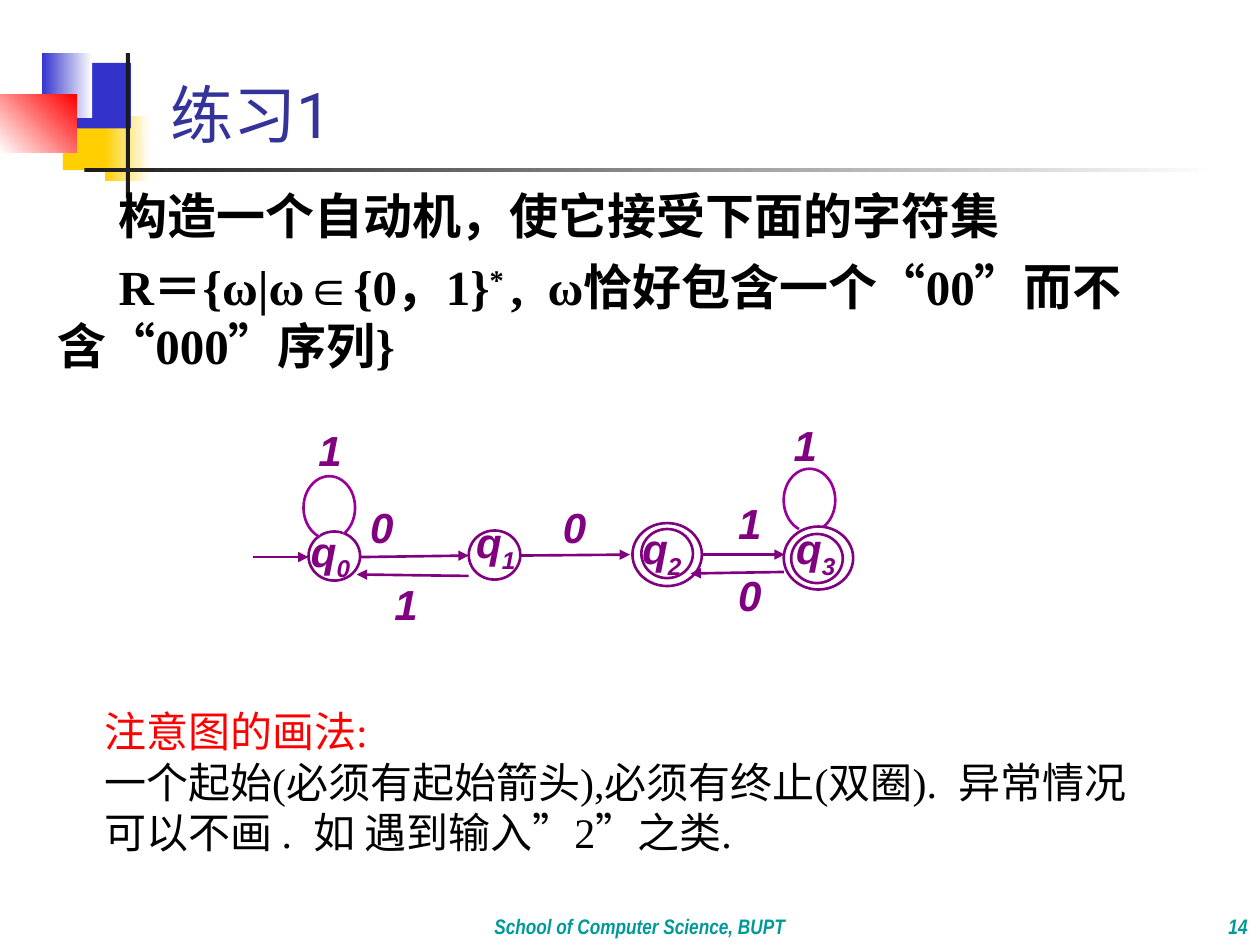
from lxml.etree import SubElement
from pptx import Presentation
from pptx.dml.color import RGBColor
from pptx.enum.shapes import MSO_CONNECTOR, MSO_SHAPE
from pptx.enum.text import MSO_ANCHOR, PP_ALIGN
from pptx.oxml.ns import qn
from pptx.util import Cm, Pt

WHITE = RGBColor(0xFF, 0xFF, 0xFF)
BLACK = RGBColor(0, 0, 0)
INK = RGBColor(0x1C, 0x1C, 0x1C)
GOLD = RGBColor(0xFF, 0xCF, 0x01)
BLUE = RGBColor(0x33, 0x33, 0xCC)
NAVY = RGBColor(0x33, 0x33, 0x99)
RED = RGBColor(0xFF, 0, 0)
TEAL = RGBColor(0, 0x99, 0x99)
PURPLE = RGBColor(0x80, 0, 0x80)
VIOLET = RGBColor(0x99, 0, 0x99)

# Lengths in cm. Decor: left, top, width, height, colours, gradient angle
DECOR = [
    (1.27, 2.11, 1.22, 1.32, [GOLD], 0),
    (2.11, 2.34, 0.91, 1.32, [GOLD, WHITE], 0),
    (1.47, 1.27, 1.17, 1.32, [BLUE], 0),
    (0.84, 1.07, 1.02, 1.32, [BLUE, WHITE], 0),
    (0, 1.91, 1.55, 1.17, [WHITE, RED], 45),
    (2.54, 1.07, 0.08, 2.92, [INK], 0),
    (1.7, 3.38, 22.86, 0.08, [INK, WHITE], 0),
]

# Each paragraph is a list of (text, baseline in percent)
TITLE = [[("练习1", 0)]]
TASK = [
    [("构造一个自动机，使它接受下面的字符集", 0)],
    [("R＝{ω|ω∈{0，1}", 0), ("* ", 30),
     (",  ω恰好包含一个“00”而不含“000”序列}", 0)],
]
NOTE = [
    [("注意图的画法:", 0)],
    [("一个起始(必须有起始箭头),必须有终止(双圈).  "
      "异常情况可以不画 .  如 遇到输入”2”之类.", 0)],
]
SCHOOL = [[("School of Computer Science, BUPT", 0)]]
PAGE = [[("14", 0)]]

# State: centre of circle, top left of name, centre of outer ring if final
STATES = [
    ((6.74, 11.21), (6.02, 10.46), None),
    ((9.97, 11.19), (9.35, 10.29), None),
    ((13.45, 11.16), (12.7, 10.41), (13.45, 11.18)),
    ((16.47, 11.26), (15.8, 10.41), (16.5, 11.25)),
]
LOOPS = [(6.12, 9.6), (15.8, 9.45)]
ARROWS = [
    (5.11, 11.23, 6.22, 11.23),
    (7.26, 11.23, 9.45, 11.2),
    (9.45, 11.61, 7.19, 11.58),
    (10.49, 11.2, 12.7, 11.18),
    (14.15, 11.18, 15.82, 11.18),
    (15.8, 11.53, 13.92, 11.56),
]
MARKS = [
    ("1", 6.17, 8.43), ("0", 7.21, 9.98), ("1", 7.7, 11.53),
    ("0", 11.1, 9.98), ("1", 14.63, 9.91), ("0", 14.63, 11.35),
    ("1", 15.75, 8.33),
]
DISC = (1.04, 0.99)
RING = (1.4, 1.27)
LOOP = (1.04, 1.27)

deck = Presentation()
deck.slide_width, deck.slide_height = Cm(25.4), Cm(19.05)
slide = deck.slides.add_slide(deck.slide_layouts[6])
shapes = slide.shapes


def add_text(box, paras, font, size, color, bold=False, italic=False,
             anchor=MSO_ANCHOR.TOP, align=PP_ALIGN.LEFT):
    frame = shapes.add_textbox(*map(Cm, box)).text_frame
    frame.word_wrap = True
    frame.vertical_anchor = anchor
    for i, parts in enumerate(paras):
        para = frame.add_paragraph() if i else frame.paragraphs[0]
        para.alignment = align
        for text, base in parts:
            run = para.add_run()
            run.text = text
            face = run.font
            face.name, face.size = font, Pt(size)
            face.bold, face.italic = bold, italic
            face.color.rgb = color
            if base:
                face._element.set("baseline", str(base * 1000))
    return frame


def add_form(kind, box, color=None):
    """Add a white shape, outlined if a colour is given."""
    form = shapes.add_shape(kind, *map(Cm, box))
    form.shadow.inherit = False
    form.fill.solid()
    form.fill.fore_color.rgb = WHITE
    if color is None:
        form.line.fill.background()
    else:
        form.line.color.rgb = color
        form.line.width = Pt(1.5)
    return form


def add_disc(mid, size):
    (x, y), (w, h) = mid, size
    add_form(MSO_SHAPE.OVAL, (x - w / 2, y - h / 2, w, h), PURPLE)


def add_arrow(ends):
    link = shapes.add_connector(MSO_CONNECTOR.STRAIGHT, *map(Cm, ends))
    link.line.color.rgb = PURPLE
    link.line.width = Pt(1.5)
    SubElement(link.line._get_or_add_ln(), qn("a:tailEnd"), type="triangle")
    SubElement(link._element.spPr, qn("a:effectLst"))


for *box, colors, angle in DECOR:
    fill = add_form(MSO_SHAPE.RECTANGLE, box).fill
    if len(colors) == 1:
        fill.fore_color.rgb = colors[0]
    else:
        fill.gradient()
        fill.gradient_angle = angle
        for stop, color in zip(fill.gradient_stops, colors):
            stop.color.rgb = color

add_text((3.18, 0.84, 21.64, 2.34), TITLE, "Roboto", 36, NAVY,
         anchor=MSO_ANCHOR.BOTTOM)
task = add_text((0.91, 3.61, 23.7, 5.51), TASK, "Times New Roman", 28, BLACK,
                bold=True)
for para in task.paragraphs:
    para._p.get_or_add_pPr().set("indent", str(Cm(1.23)))
task.paragraphs[1].space_before = Pt(7)

for mid, _, ring in STATES:
    if ring:
        add_disc(ring, RING)
    add_disc(mid, DISC)
for spot in LOOPS:
    arc = add_form(MSO_SHAPE.ARC, spot + LOOP, VIOLET)
    for i, degree in enumerate((110, 61)):
        arc.adjustments[i] = degree * 0.6
for ends in ARROWS:
    add_arrow(ends)
for i, (_, spot, _) in enumerate(STATES):
    add_text(spot + (1.5, 1.42), [[("q", 0), (str(i), -25)]],
             "Arial", 24, PURPLE, bold=True, italic=True)
for mark, x, y in MARKS:
    add_text((x, y, 0.97, 1.27), [[(mark, 0)]],
             "Arial", 24, PURPLE, bold=True, italic=True)

note = add_text((1.85, 14.1, 21.82, 3.3), NOTE, "Times New Roman", 24, BLACK)
note.paragraphs[0].runs[0].font.color.rgb = RED

for box, paras, align in [
    ((4.01, 17.78, 17.78, 1.27), SCHOOL, PP_ALIGN.CENTER),
    ((21.16, 17.78, 4.24, 1.27), PAGE, PP_ALIGN.RIGHT),
]:
    foot = add_text(box, paras, "Arial Narrow", 12, TEAL, bold=True,
                    italic=True, anchor=MSO_ANCHOR.BOTTOM, align=align)
    if paras is SCHOOL:
        foot.paragraphs[0].line_spacing = 1.1

deck.save("out.pptx")
